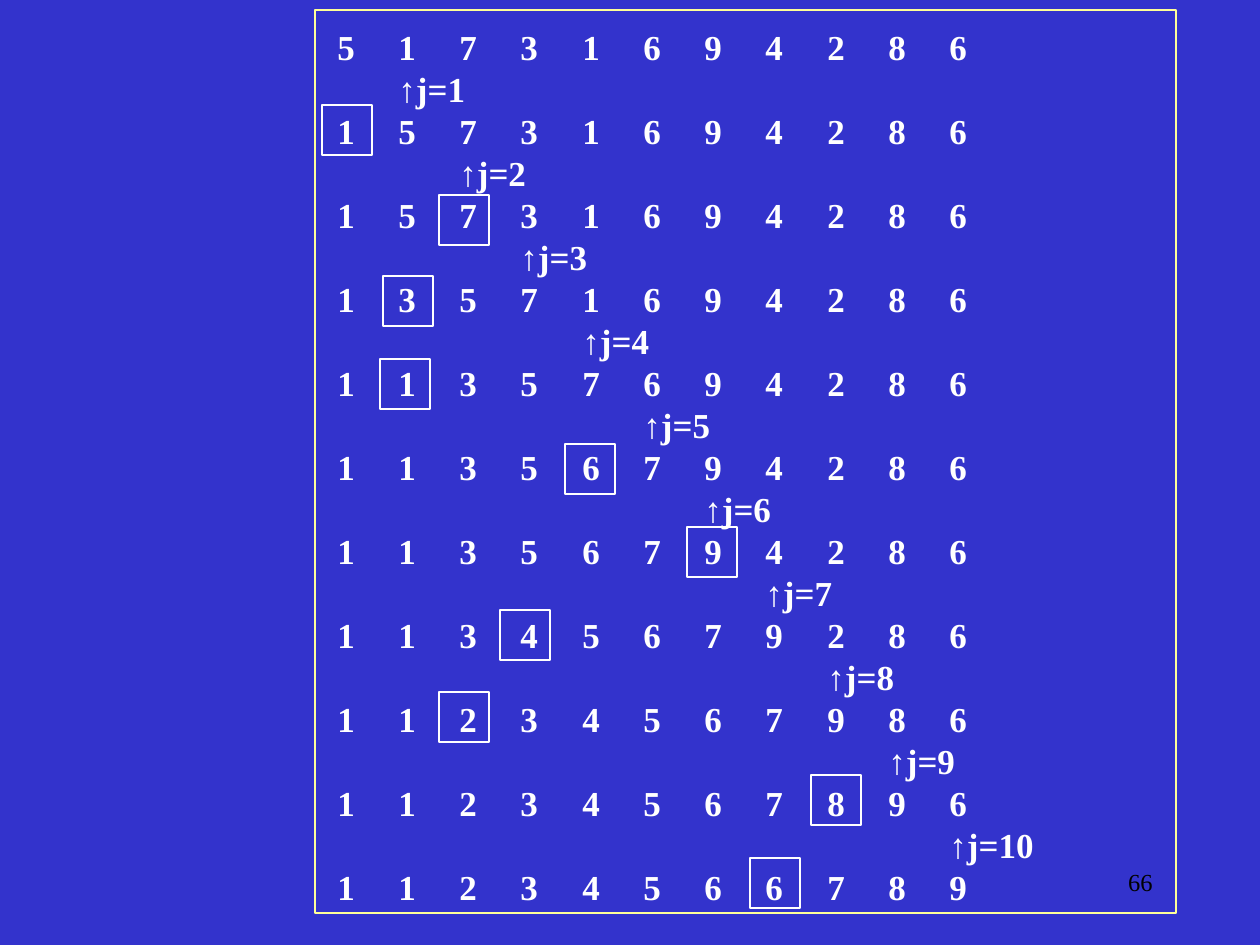
import pptx
import pptx.dml.color
import pptx.enum.shapes
import pptx.enum.text
import pptx.oxml.ns
import pptx.util
from lxml import etree

SCALE = 914400 / 126  # EMU per px
COLORS = {"back": "3333CC", "frame": "FFFF99", "white": "FFFFFF", "black": "000000"}
ALIGN = pptx.enum.text.PP_ALIGN


def px(n):
    return pptx.util.Emu(round(n * SCALE))


def color(name):
    return pptx.dml.color.RGBColor.from_string(COLORS[name])


def col(k):
    """Offset in px of number column k."""
    return k * 245 // 4


def write(par, text, size=20, bold=False, ink="white", align=ALIGN.JUSTIFY,
          line=None, indent=0, tabs=()):
    props = par._p.get_or_add_pPr()
    if indent:
        props.set("marL", str(px(indent)))
        props.set("indent", "0")
    if tabs:
        stops = etree.SubElement(props, pptx.oxml.ns.qn("a:tabLst"))
        for stop in tabs:
            etree.SubElement(stops, pptx.oxml.ns.qn("a:tab"),
                             pos=str(px(stop)), algn="l")
    par.alignment = align
    if line:
        par.line_spacing = pptx.util.Pt(line)
    run = par.add_run()
    run.text = text
    run.font.name = "Times New Roman"
    run.font.size = pptx.util.Pt(size)
    run.font.bold = bold
    run.font.color.rgb = color(ink)


class Board:
    def __init__(self, deck):
        self.slide = deck.slides.add_slide(deck.slide_layouts[6])
        fill = self.slide.background.fill
        fill.solid()
        fill.fore_color.rgb = color("back")

    def text(self, x, y, w, h, lines):
        box = self.slide.shapes.add_textbox(px(x), px(y), px(w), px(h))
        frame = box.text_frame
        frame.word_wrap = True
        for i, (text, style) in enumerate(lines):
            par = frame.add_paragraph() if i else frame.paragraphs[0]
            write(par, text, **style)

    def rect(self, x, y, w, h, ink="white", width=0.75):
        kind = pptx.enum.shapes.MSO_SHAPE.RECTANGLE
        box = self.slide.shapes.add_shape(kind, px(x), px(y), px(w), px(h))
        box.shadow.inherit = False
        box.fill.background()
        box.line.color.rgb = color(ink)
        box.line.width = pptx.util.Pt(width)


def trace(nums):
    """Each pass of insertion sort, with the pointer j between passes."""
    base = dict(bold=True, line=24)
    tabs = [col(k) for k in range(1, len(nums))]
    lines = []
    for j in range(1, len(nums) + 1):
        row = sorted(nums[:j]) + nums[j:]
        lines.append(("\t".join(map(str, row)), dict(base, tabs=tabs)))
        if j < len(nums):
            lines.append((f"↑j={j}", dict(base, indent=col(j))))
    return lines


def main():
    deck = pptx.Presentation()
    deck.slide_width, deck.slide_height = px(1260), px(945)
    board = Board(deck)

    # Sorting trace in its frame
    board.text(325, 19, 872, 895, trace([5, 1, 7, 3, 1, 6, 9, 4, 2, 8, 6]))
    board.rect(315, 10, 861, 903, ink="frame", width=1.5)

    # Boxes around the number just inserted
    spots = [(322, 105), (439, 195), (383, 276), (380, 359), (565, 444),
             (687, 527), (500, 610), (439, 692), (811, 775), (750, 858)]
    for x, y in spots:
        board.rect(x, y, 50, 50)

    # Page number
    board.text(903, 861, 262, 63,
               [("66", dict(size=14, ink="black", align=ALIGN.RIGHT))])

    deck.save("out.pptx")


if __name__ == "__main__":
    main()
